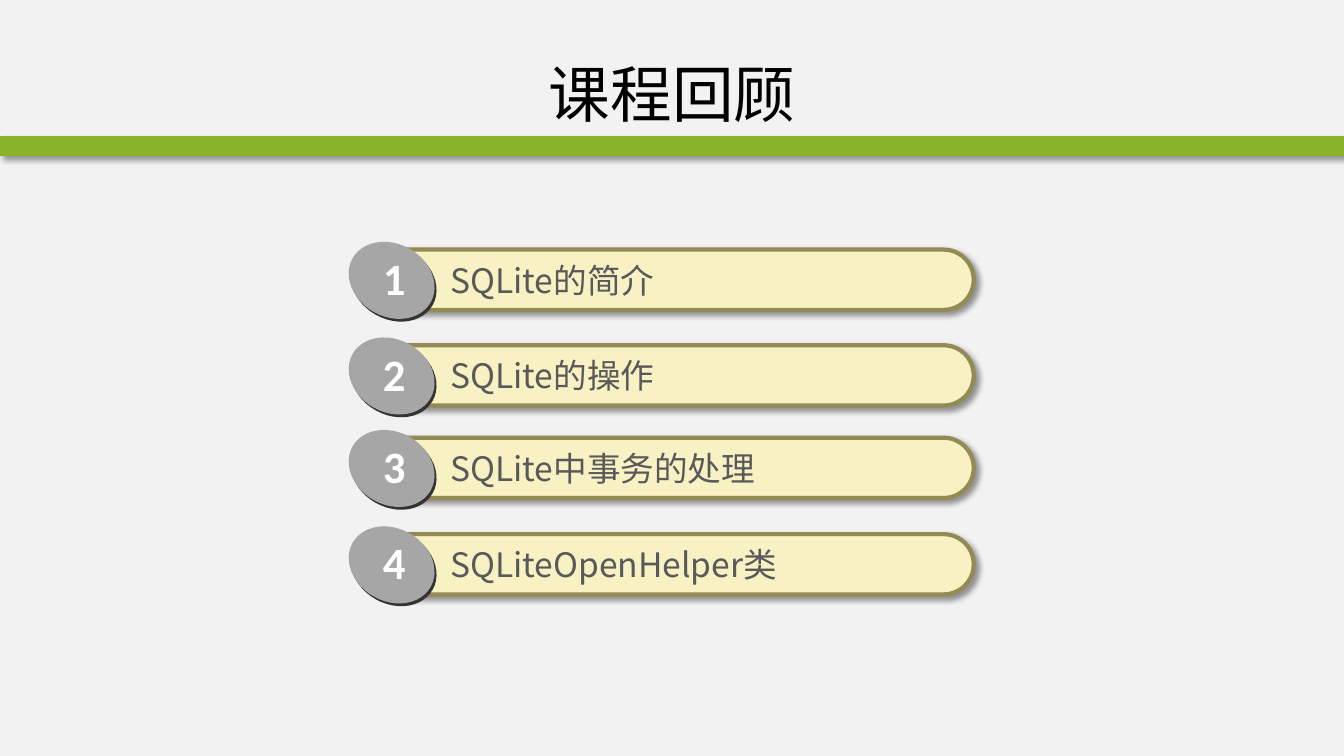
from dataclasses import dataclass

from lxml.etree import SubElement
from pptx import Presentation
from pptx.dml.color import RGBColor as Rgb
from pptx.enum.shapes import MSO_SHAPE as Kind
from pptx.enum.text import MSO_ANCHOR as Anchor, MSO_AUTO_SIZE as Fit, PP_ALIGN as Align
from pptx.oxml.ns import qn
from pptx.util import Cm, Pt


@dataclass(frozen=True)
class Theme:
    """Hold the colours, fonts and type sizes of the slide."""
    back: str = "F2F2F2"
    band: str = "88B429"
    bar: str = "F7F1C4"
    edge: str = "948A54"
    rim: str = "333333"
    disc: str = "A6A6A6"
    ink: str = "595959"
    dark: str = "000000"
    light: str = "FFFFFF"
    han: str = "Noto Sans CJK SC"
    latin: str = "Calibri"
    head: int = 44
    body: int = 24
    count: int = 32


LOOK = Theme()
TOPICS = (
    (6.29, "SQLite的简介"),
    (8.7, "SQLite的操作"),
    (11.03, "SQLite中事务的处理"),
    (13.46, "SQLiteOpenHelper类"),
)


def put(item, values):
    """Set each attribute named in a dict."""
    for key, value in values.items():
        setattr(item, key, value)


def place(box):
    """Turn left, top, width and height in centimetres into lengths."""
    return [Cm(side) for side in box]


def shade(shape):
    """Give a shape a soft shadow to the lower right."""
    effects = shape._element.spPr.find(qn("a:effectLst"))
    cast = SubElement(effects, qn("a:outerShdw"), blurRad=str(Pt(4)),
                      dist=str(Pt(3)), dir="2700000", algn="tl", rotWithShape="0")
    tint = SubElement(cast, qn("a:srgbClr"), val=LOOK.dark)
    SubElement(tint, qn("a:alpha"), val="40000")


def draw(shapes, kind, box, fill, edge=None, turn=0):
    """Add a filled shape with an optional edge and turn."""
    shape = shapes.add_shape(kind, *place(box))
    shape.shadow.inherit = False
    shape.rotation = turn
    shape.fill.solid()
    shape.fill.fore_color.rgb = Rgb.from_string(fill)
    if edge:
        shape.line.color.rgb = Rgb.from_string(edge)
        shape.line.width = Pt(3)
    else:
        shape.line.fill.background()
    return shape


def write(frame, text, style, tint):
    """Fill a text frame with one styled run."""
    run = frame.paragraphs[0].add_run()
    run.text = text
    put(run.font, style)
    run.font.color.rgb = Rgb.from_string(tint)
    SubElement(run._r.get_or_add_rPr(), qn("a:ea"), typeface=style["name"])


def label(shapes, box, text, style, tint, wrap):
    """Add a text box that grows with its text."""
    frame = shapes.add_textbox(*place(box)).text_frame
    put(frame, {"word_wrap": wrap, "auto_size": Fit.SHAPE_TO_FIT_TEXT})
    write(frame, text, style, tint)


def topic(slide, top, count, text):
    """Add one grouped row: bar, text, disc and number."""
    shapes = slide.shapes.add_group_shape().shapes
    bar = draw(shapes, Kind.ROUNDED_RECTANGLE, (9.3, top, 15.24, 1.52), LOOK.bar, LOOK.edge)
    bar.adjustments[0] = 0.5
    shade(bar)
    label(shapes, (11.1, top + 0.13, 12.45, 1.27), text,
          {"name": LOOK.han, "size": Pt(LOOK.body)}, LOOK.ink, True)
    for left, rise, fill in ((8.79, 0.07, LOOK.rim), (8.74, 0.14, LOOK.disc)):
        draw(shapes, Kind.OVAL, (left, top - rise, 2.26, 1.83), fill, turn=29.3)
    label(shapes, (9.4, top - 0.1, 1.09, 1.63), str(count),
          {"name": LOOK.latin, "size": Pt(LOOK.count), "bold": True}, LOOK.light, False)


def title(slide, text):
    """Move and format the title."""
    head = slide.shapes.title
    put(head, dict(zip(("left", "top", "width", "height"), place((1.7, 0.76, 30.48, 3.18)))))
    put(head.text_frame, {"vertical_anchor": Anchor.MIDDLE, "auto_size": Fit.NONE})
    head.text_frame.paragraphs[0].alignment = Align.CENTER
    write(head.text_frame, text, {"name": LOOK.han, "size": Pt(LOOK.head)}, LOOK.dark)


def main():
    """Build and save the slide."""
    deck = Presentation()
    put(deck, {"slide_width": Cm(33.87), "slide_height": Cm(19.05)})
    slide = deck.slides.add_slide(deck.slide_layouts[5])
    slide.background.fill.solid()
    slide.background.fill.fore_color.rgb = Rgb.from_string(LOOK.back)
    title(slide, "课程回顾")
    shade(draw(slide.shapes, Kind.RECTANGLE, (0, 3.43, 33.87, 0.5), LOOK.band))
    for count, (top, text) in enumerate(TOPICS, 1):
        topic(slide, top, count, text)
    deck.save("out.pptx")


if __name__ == "__main__":
    main()
